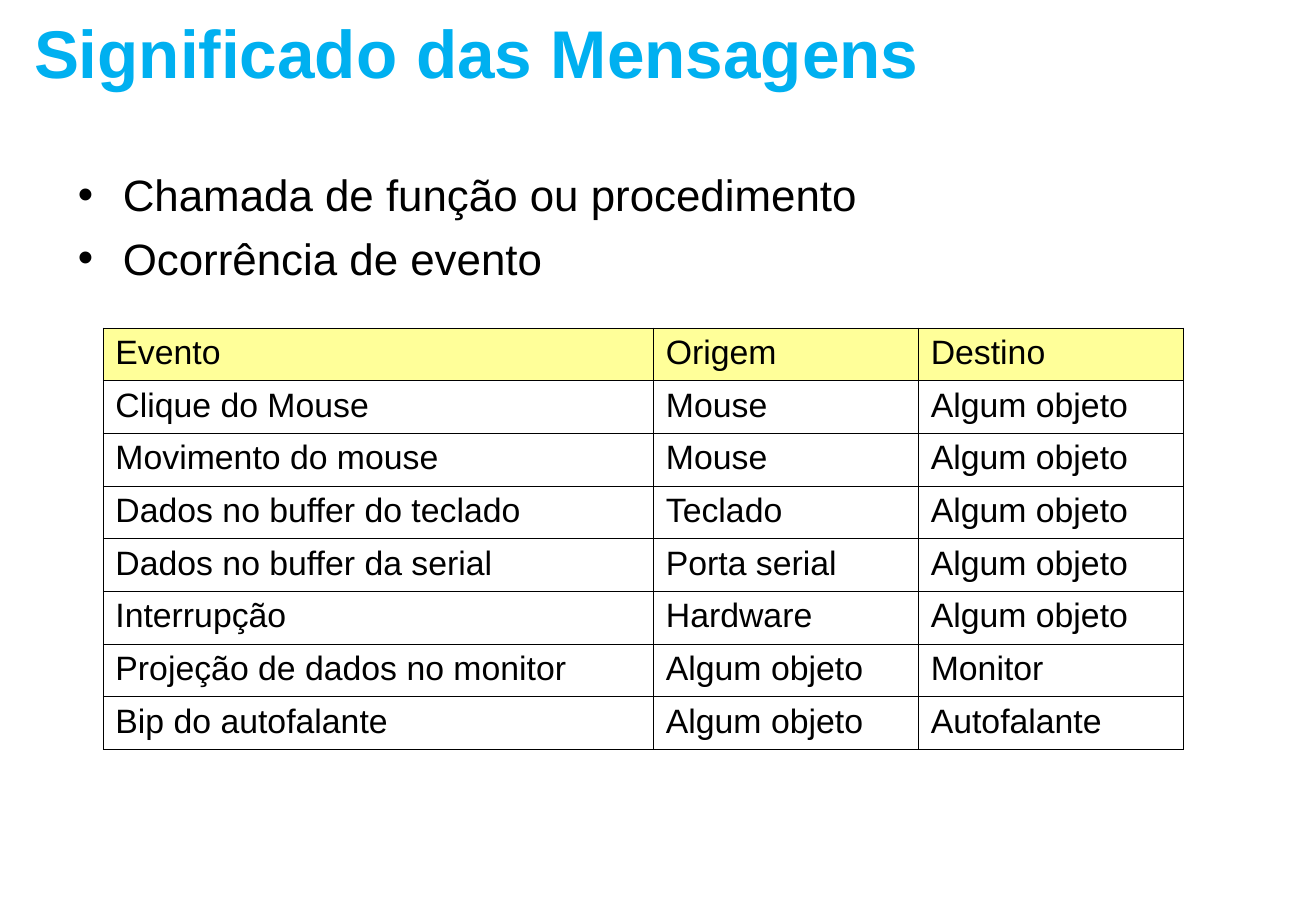
from pptx import Presentation
from pptx.dml.color import RGBColor
from pptx.enum.text import MSO_ANCHOR, MSO_AUTO_SIZE, PP_ALIGN
from pptx.oxml import parse_xml
from pptx.oxml.ns import nsdecls
from pptx.util import Inches, Pt

BLACK = RGBColor(0x00, 0x00, 0x00)
SKY_BLUE = RGBColor(0x00, 0xB0, 0xF0)
PALE_YELLOW = RGBColor(0xFF, 0xFF, 0x99)

MESSAGE_KINDS = ["Chamada de função ou procedimento", "Ocorrência de evento"]
EVENTS = [
    ("Evento", "Origem", "Destino"),
    ("Clique do Mouse", "Mouse", "Algum objeto"),
    ("Movimento do mouse", "Mouse", "Algum objeto"),
    ("Dados no buffer do teclado", "Teclado", "Algum objeto"),
    ("Dados no buffer da serial", "Porta serial", "Algum objeto"),
    ("Interrupção", "Hardware", "Algum objeto"),
    ("Projeção de dados no monitor", "Algum objeto", "Monitor"),
    ("Bip do autofalante", "Algum objeto", "Autofalante"),
]
COLUMN_WIDTHS = (4.53, 2.18, 2.18)


def write(paragraph, text, size, color=BLACK, bold=False, align=PP_ALIGN.LEFT, before=0):
    paragraph.alignment = align
    paragraph.space_before = Pt(before)
    run = paragraph.add_run()
    run.text = text
    run.font.name = "Arial"
    run.font.size = Pt(size)
    run.font.bold = bold
    run.font.color.rgb = color


def place(placeholder, left, top, width, height):
    """Move a placeholder into its box and return its top-anchored text frame."""
    placeholder.left, placeholder.top = Inches(left), Inches(top)
    placeholder.width, placeholder.height = Inches(width), Inches(height)
    frame = placeholder.text_frame
    frame.vertical_anchor = MSO_ANCHOR.TOP
    frame.auto_size = MSO_AUTO_SIZE.NONE
    frame.word_wrap = True
    return frame


def add_title(slide, box):
    frame = place(slide.shapes.title, *box)
    write(frame.paragraphs[0], "Significado das Mensagens", 40, SKY_BLUE, bold=True)


def add_message_kinds(slide, box):
    frame = place(slide.placeholders[1], *box)
    for index, kind in enumerate(MESSAGE_KINDS):
        paragraph = frame.add_paragraph() if index else frame.paragraphs[0]
        write(paragraph, kind, 26, before=6.5)
        properties = paragraph._p.get_or_add_pPr()
        properties.set("marL", str(Inches(0.37)))
        properties.set("indent", str(-Inches(0.37)))
        properties.append(parse_xml(f'<a:buChar {nsdecls("a")} char="•"/>'))


def border_cell(cell):
    properties = cell._tc.get_or_add_tcPr()
    for position, side in enumerate(("lnL", "lnR", "lnT", "lnB")):
        properties.insert(position, parse_xml(
            f'<a:{side} {nsdecls("a")} w="{Pt(0.45)}"><a:solidFill>'
            f'<a:srgbClr val="{BLACK}"/></a:solidFill></a:{side}>'))


def add_event_table(slide, left, top, height):
    table = slide.shapes.add_table(
        len(EVENTS), len(COLUMN_WIDTHS), Inches(left), Inches(top),
        Inches(sum(COLUMN_WIDTHS)), Inches(height)).table
    table.horz_banding = False
    for column, width in zip(table.columns, COLUMN_WIDTHS):
        column.width = Inches(width)
    for row_index, event in enumerate(EVENTS):
        for column_index, entry in enumerate(event):
            cell = table.cell(row_index, column_index)
            if row_index == 0:
                cell.fill.solid()
                cell.fill.fore_color.rgb = PALE_YELLOW
            else:
                cell.fill.background()
            border_cell(cell)
            write(cell.text_frame.paragraphs[0], entry, 20, align=PP_ALIGN.JUSTIFY)


def main():
    presentation = Presentation()
    presentation.slide_width, presentation.slide_height = Inches(10.83), Inches(7.5)
    slide = presentation.slides.add_slide(presentation.slide_layouts[1])
    add_title(slide, (0.18, 0.04, 8.94, 1.42))
    add_message_kinds(slide, (0.54, 1.33, 8.9, 4.82))
    add_event_table(slide, left=0.85, top=2.7, height=3.47)
    presentation.save("out.pptx")


if __name__ == "__main__":
    main()
